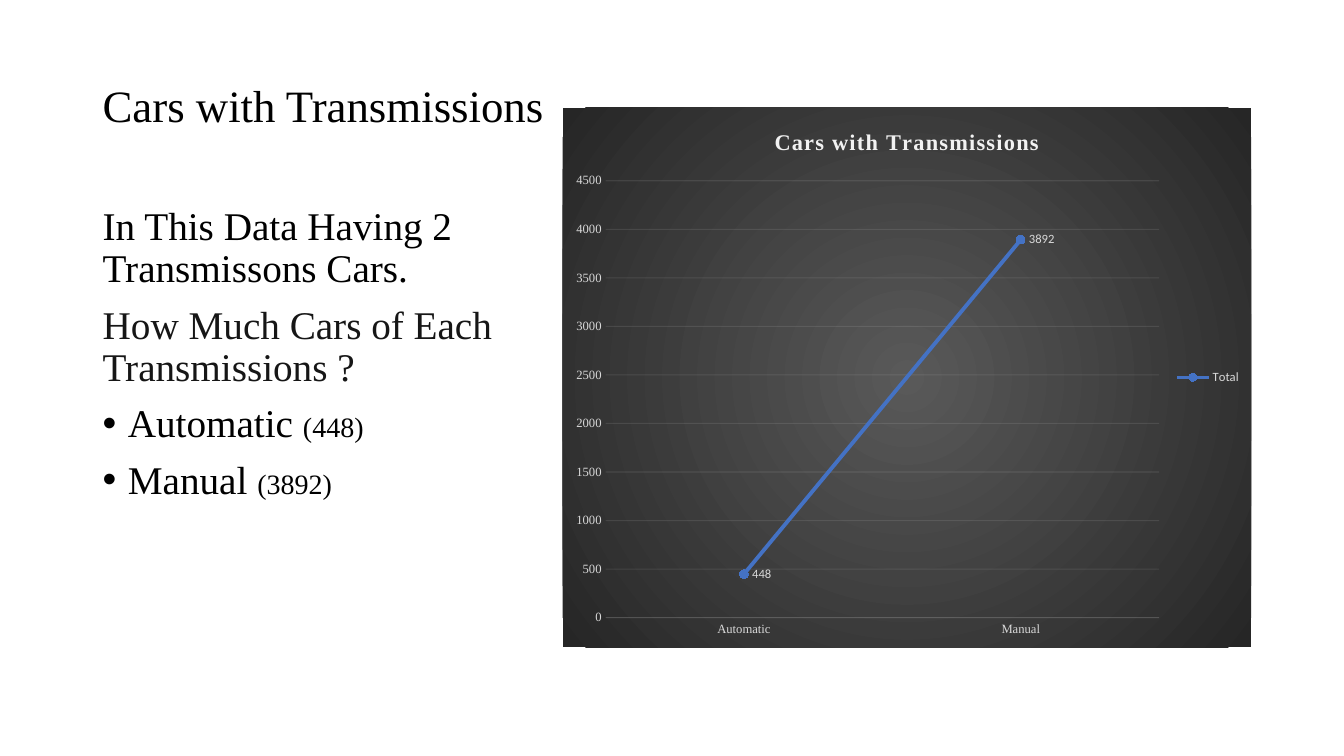
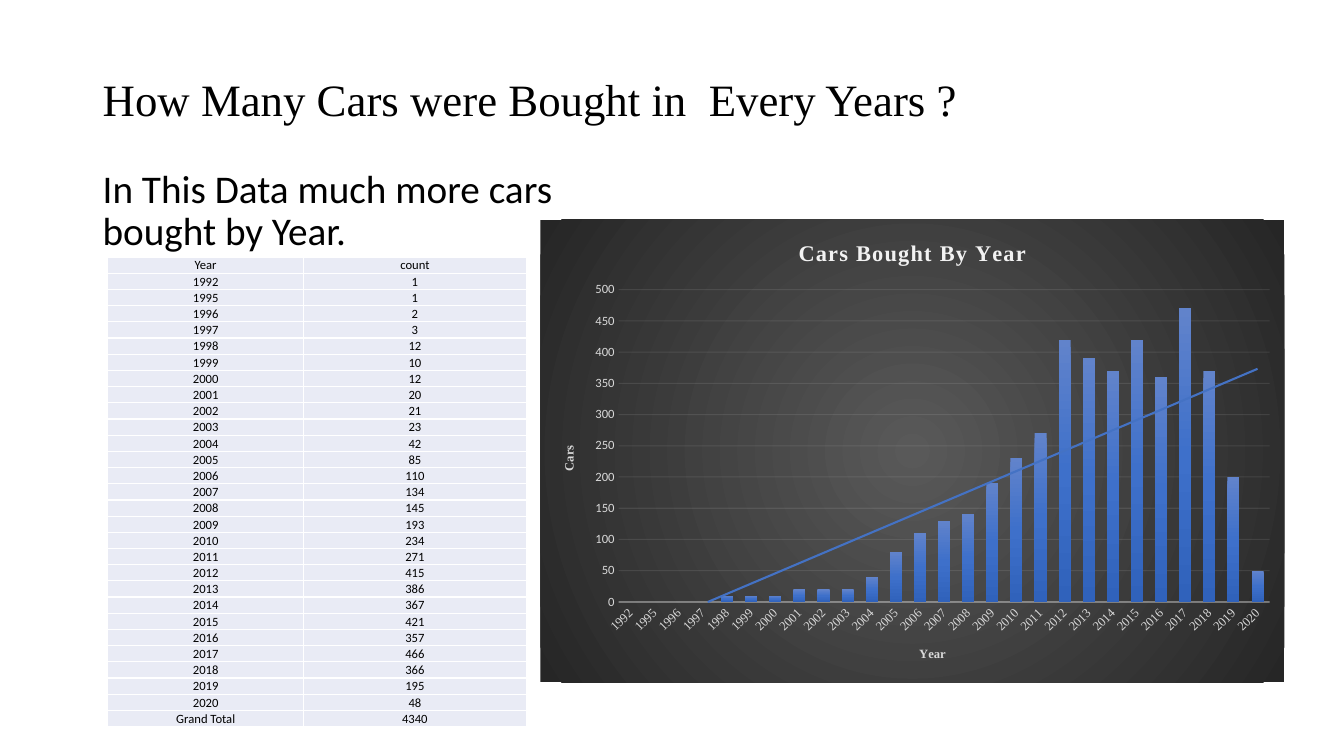
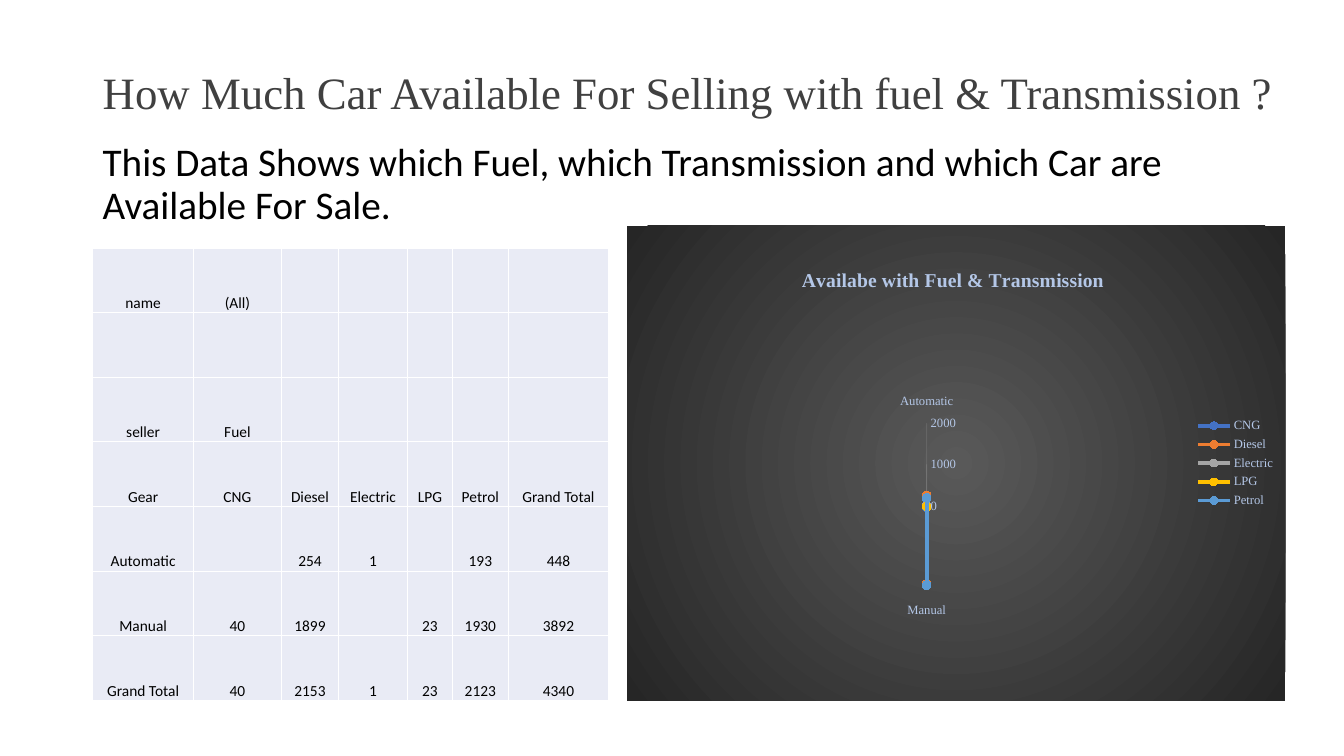
from pptx import Presentation
from pptx.chart.data import CategoryChartData
from pptx.dml.color import RGBColor
from pptx.enum.chart import (XL_CHART_TYPE, XL_LABEL_POSITION, XL_LEGEND_POSITION,
                             XL_MARKER_STYLE, XL_TICK_MARK)
from pptx.enum.text import MSO_ANCHOR, PP_ALIGN
from pptx.oxml import parse_xml
from pptx.oxml.ns import nsdecls, qn
from pptx.util import Inches, Pt

COLORS = {
    "black": "000000", "ink": "161616", "gray title": "404040", "cell": "E9EBF5",
    "white": "FFFFFF", "axis": "F2F2F2", "label": "D9D9D9", "pale blue": "B4C7E7",
    "center": "595959", "edge": "262626", "blue": "4472C4", "blue marker": "3E70CA",
    "orange": "ED7D31", "orange marker": "F67B28", "gray": "A5A5A5", "gold": "FFC000",
    "sky": "5B9BD5", "sky marker": "559BDB", "bar top": "6183CB", "bar bottom": "3062BB",
}
RGB = {name: RGBColor.from_string(value) for name, value in COLORS.items()}
SERIF, SANS = "Times New Roman", "Calibri"


def add_text(slide, box, paragraphs, font, anchor=MSO_ANCHOR.TOP, space_before=10):
    """Each paragraph is (bulleted, color name, [(text, size), ...])."""
    text_frame = slide.shapes.add_textbox(*map(Inches, box)).text_frame
    text_frame.word_wrap = True
    text_frame.vertical_anchor = anchor
    for index, (bulleted, color, runs) in enumerate(paragraphs):
        paragraph = text_frame.paragraphs[0] if index == 0 else text_frame.add_paragraph()
        paragraph.line_spacing = 0.9
        paragraph.space_before = Pt(space_before)
        if bulleted:
            properties = paragraph._p.get_or_add_pPr()
            properties.set("marL", str(Inches(0.25)))
            properties.set("indent", str(-Inches(0.25)))
            properties.append(parse_xml(f'<a:buFont {nsdecls("a")} typeface="Arial"/>'))
            properties.append(parse_xml(f'<a:buChar {nsdecls("a")} char="•"/>'))
        for text, size in runs:
            run = paragraph.add_run()
            run.text = text
            run.font.name, run.font.size = font, Pt(size)
            run.font.color.rgb = RGB[color]


def add_dark_chart(slide, kind, box, data, title, title_size, title_color, spacing,
                   label_color, value_font, axis_line, legend_font=None):
    """Add a chart on the dark radial background with faint axis lines."""
    chart = slide.shapes.add_chart(kind, *map(Inches, box), data).chart
    chart.font.name, chart.font.size = SANS, Pt(10)
    chart._chartSpace.find(qn("c:chart")).addnext(parse_xml(
        f'<c:spPr {nsdecls("c", "a")}><a:gradFill><a:gsLst>'
        f'<a:gs pos="0"><a:srgbClr val="{COLORS["center"]}"/></a:gs>'
        f'<a:gs pos="100000"><a:srgbClr val="{COLORS["edge"]}"/></a:gs></a:gsLst>'
        '<a:path path="circle"><a:fillToRect l="50000" t="50000" r="50000" b="50000"/></a:path>'
        '</a:gradFill><a:ln><a:noFill/></a:ln></c:spPr>'))
    chart.plots[0].vary_by_categories = False

    # Title
    chart.has_title = True
    paragraph = chart.chart_title.text_frame.paragraphs[0]
    run = paragraph.add_run()
    run.text = title
    run.font.name, run.font.size, run.font.bold = SERIF, Pt(title_size), True
    run.font.color.rgb = RGB[title_color]
    run._r.get_or_add_rPr().set("spc", str(spacing))

    # Axes
    category_axis, value_axis = chart.category_axis, chart.value_axis
    for axis, font in ((category_axis, SERIF), (value_axis, value_font)):
        axis.major_tick_mark = axis.minor_tick_mark = XL_TICK_MARK.NONE
        axis.tick_labels.font.name, axis.tick_labels.font.size = font, Pt(9)
        axis.tick_labels.font.color.rgb = RGB[label_color]
    value_axis.minimum_scale = 0
    value_axis.has_major_gridlines = True
    value_axis.format.line.fill.background()
    category_axis.has_major_gridlines = False
    width, opacity = axis_line
    for line, points, percent, owner in (
            (category_axis.format.line, width, opacity, category_axis._element),
            (value_axis.major_gridlines.format.line, 0.75, 10,
             value_axis._element.find(qn("c:majorGridlines")))):
        line.width = Pt(points)
        line.color.rgb = RGB["axis"]
        color = owner.find(qn("c:spPr")).find(".//" + qn("a:srgbClr"))
        color.append(parse_xml(f'<a:alpha {nsdecls("a")} val="{percent * 1000}"/>'))

    # Legend
    chart.has_legend = legend_font is not None
    if legend_font:
        chart.legend.position = XL_LEGEND_POSITION.RIGHT
        chart.legend.include_in_layout = False
        chart.legend.font.name, chart.legend.font.size = legend_font, Pt(9)
        chart.legend.font.color.rgb = RGB[label_color]
    return chart


presentation = Presentation()
presentation.slide_width, presentation.slide_height = Inches(13.33), Inches(7.5)

# Titles and body text
slide_texts = [
    ("Cars with Transmissions", "black", (0.92, 0.4, 11.5, 1.34), (0.92, 2, 5.75, 4.76), SERIF, [
        (False, "black", [("In This Data Having 2 Transmissons Cars.", 28)]),
        (False, "ink", [("How Much Cars of Each Transmissions ?", 28)]),
        (True, "black", [("Automatic ", 28), ("(448)", 20)]),
        (True, "black", [("Manual ", 28), ("(3892)", 20)])]),
    ("How Many Cars were Bought in  Every Years ?", "black",
     (0.92, 0.4, 10.78, 1.23), (0.92, 1.63, 5.75, 4.76), SANS, [
        (False, "black", [("In This Data much more cars bought by Year.", 28)])]),
    ("How Much Car Available For Selling with fuel & Transmission ?", "gray title",
     (0.92, 0.4, 11.82, 1.09), (0.92, 1.37, 11.5, 4.87), SANS, [
        (False, "black", [("This Data Shows which Fuel, which Transmission and "
                           "which Car are Available For Sale.", 28)])]),
]
for title, color, title_box, body_box, body_font, body in slide_texts:
    slide = presentation.slides.add_slide(presentation.slide_layouts[6])
    add_text(slide, title_box, [(False, color, [(title, 32)])], SERIF, MSO_ANCHOR.MIDDLE, 0)
    add_text(slide, body_box, body, body_font)
transmission_slide, year_slide, fuel_slide = presentation.slides

# Tables
cars_by_year = {
    1992: 1, 1995: 1, 1996: 2, 1997: 3, 1998: 12, 1999: 10, 2000: 12, 2001: 20, 2002: 21,
    2003: 23, 2004: 42, 2005: 85, 2006: 110, 2007: 134, 2008: 145, 2009: 193, 2010: 234,
    2011: 271, 2012: 415, 2013: 386, 2014: 367, 2015: 421, 2016: 357, 2017: 466, 2018: 366,
    2019: 195, 2020: 48,
}
year_rows = [("Year", "count"), *cars_by_year.items(), ("Grand Total", 4340)]
fuels = ["CNG", "Diesel", "Electric", "LPG", "Petrol"]
automatic = [None, 254, 1, None, 193]
manual = [40, 1899, None, 23, 1930]
fuel_rows = [
    ("name", "(All)"),
    (),
    ("seller", "Fuel"),
    ("Gear", *fuels, "Grand Total"),
    ("Automatic", *automatic, 448),
    ("Manual", *manual, 3892),
    ("Grand Total", 40, 2153, 1, 23, 2123, 4340),
]
for slide, left, top, height, widths, rows, size in (
        (year_slide, 1.07, 2.55, 4.59, [1.94, 2.21], year_rows, 9),
        (fuel_slide, 0.92, 2.46, 4.49, [1, 0.87, 0.57, 0.68, 0.45, 0.55, 1], fuel_rows, 11)):
    table = slide.shapes.add_table(len(rows), len(widths), Inches(left), Inches(top),
                                   Inches(sum(widths)), Inches(height)).table
    table.first_row = table.horz_banding = False
    for column, width in zip(table.columns, widths):
        column.width = Inches(width)
    for row_index, row in enumerate(rows):
        table.rows[row_index].height = Inches(height / len(rows))
        for column_index in range(len(widths)):
            cell = table.cell(row_index, column_index)
            cell.fill.solid()
            cell.fill.fore_color.rgb = RGB["cell"]
            cell.margin_left = cell.margin_top = cell.margin_right = Inches(0.01)
            cell.margin_bottom = 0
            cell.vertical_anchor = MSO_ANCHOR.BOTTOM
            for position, side in enumerate(("lnL", "lnR", "lnT", "lnB")):
                cell._tc.get_or_add_tcPr().insert(position, parse_xml(
                    f'<a:{side} {nsdecls("a")} w="{Pt(1)}"><a:solidFill>'
                    f'<a:srgbClr val="{COLORS["white"]}"/></a:solidFill></a:{side}>'))
            paragraph = cell.text_frame.paragraphs[0]
            paragraph.alignment = PP_ALIGN.CENTER
            value = row[column_index] if column_index < len(row) else None
            paragraph.text = "" if value is None else str(value)
            paragraph.font.size = Pt(size)
            for run in paragraph.runs:
                run.font.name, run.font.size = SANS, Pt(size)
                run.font.color.rgb = RGB["black"]

# Transmission line chart
data = CategoryChartData()
data.categories = ["Automatic", "Manual"]
data.add_series("Total", [448, 3892])
line_chart = add_dark_chart(
    transmission_slide, XL_CHART_TYPE.LINE_MARKERS, (5.58, 1.07, 6.83, 5.35), data,
    "Cars with Transmissions", 16, "axis", 100, "label", SERIF, (0.75, 10), SANS)
labels = line_chart.plots[0].series[0].data_labels
labels.show_value = True
labels.position = XL_LABEL_POSITION.RIGHT
labels.font.name, labels.font.size = SANS, Pt(9)
labels.font.color.rgb = RGB["label"]

# Yearly column chart with its trend line, values to the nearest ten
data = CategoryChartData()
data.categories = [str(year) for year in cars_by_year]
data.add_series("Series 1", [round(count, -1) for count in cars_by_year.values()])
column_chart = add_dark_chart(
    year_slide, XL_CHART_TYPE.COLUMN_CLUSTERED, (5.36, 2.18, 7.38, 4.59), data,
    "Cars Bought By Year", 16, "axis", 100, "label", SANS, (1, 54))
column_chart.plots[0].gap_width, column_chart.plots[0].overlap = 100, -24
column_chart.value_axis.maximum_scale = 500
column_chart.value_axis.major_unit = 50
column_chart.category_axis._element.find(qn("c:txPr")).find(qn("a:bodyPr")).set("rot", "-2700000")
for axis, name in ((column_chart.category_axis, "Year"), (column_chart.value_axis, "Cars")):
    paragraph = axis.axis_title.text_frame.paragraphs[0]
    run = paragraph.add_run()
    run.text = name
    run.font.name, run.font.size, run.font.bold = SERIF, Pt(9), True
    run.font.color.rgb = RGB["label"]
value_title = column_chart.value_axis.axis_title.text_frame
value_title._txBody.find(qn("a:bodyPr")).set("rot", "-5400000")
bars = column_chart.plots[0].series[0]
stops = "".join(
    f'<a:gs pos="{position}"><a:srgbClr val="{COLORS[name]}"/></a:gs>'
    for position, name in ((0, "bar top"), (50000, "blue marker"), (100000, "bar bottom")))
bars._element.get_or_add_spPr().append(parse_xml(
    f'<a:gradFill {nsdecls("a")}><a:gsLst>{stops}</a:gsLst><a:lin ang="5400000"/></a:gradFill>'))
bars._element.find(qn("c:cat")).addprevious(parse_xml(
    f'<c:trendline {nsdecls("c", "a")}><c:spPr><a:ln w="{Pt(1.5)}"><a:solidFill>'
    f'<a:srgbClr val="{COLORS["blue"]}"/></a:solidFill></a:ln></c:spPr>'
    '<c:trendlineType val="linear"/><c:dispRSqr val="0"/><c:dispEq val="0"/></c:trendline>'))

# Fuel radar chart, values to the nearest ten
data = CategoryChartData()
data.categories = ["Automatic", "Manual"]
for fuel, counts in zip(fuels, zip(automatic, manual)):
    data.add_series(fuel, [None if count is None else round(count, -1) for count in counts])
radar_chart = add_dark_chart(
    fuel_slide, XL_CHART_TYPE.RADAR_MARKERS, (6.22, 2.24, 6.53, 4.71), data,
    "Availabe with Fuel & Transmission", 14, "pale blue", 0, "pale blue", SERIF, (1, 54), SERIF)
radar_chart.value_axis.maximum_scale = 2000
radar_chart.value_axis.major_unit = 1000
chart_element = radar_chart._chartSpace.find(qn("c:chart"))
for tag, index, target, parts in (
        ("c:title", 1, "", {"x": 0.26, "y": 0.08}),
        ("c:plotArea", 0, '<c:layoutTarget val="inner"/>',
         {"x": 0.33, "y": 0.36, "w": 0.25, "h": 0.46})):
    parent = chart_element.find(qn(tag))
    for layout in parent.findall(qn("c:layout")):
        parent.remove(layout)
    modes = "".join(f'<c:{part}Mode val="edge"/>' for part in "xy")
    values = "".join(f'<c:{part} val="{value}"/>' for part, value in parts.items())
    parent.insert(index, parse_xml(
        f'<c:layout {nsdecls("c")}><c:manualLayout>{target}{modes}{values}'
        '</c:manualLayout></c:layout>'))

# Lines and markers of the line and radar charts
series_colors = [("blue", "blue marker"), ("orange", "orange marker"), ("gray", "gray"),
                 ("gold", "gold"), ("sky", "sky marker")]
for chart in (line_chart, radar_chart):
    for series, (line_color, marker_color) in zip(chart.plots[0].series, series_colors):
        series.smooth = False
        series.format.line.width = Pt(2.75)
        series.format.line.color.rgb = RGB[line_color]
        series.marker.style, series.marker.size = XL_MARKER_STYLE.CIRCLE, 6
        series.marker.format.fill.solid()
        series.marker.format.fill.fore_color.rgb = RGB[marker_color]
        series.marker.format.line.color.rgb = RGB[line_color]

presentation.save("out.pptx")
